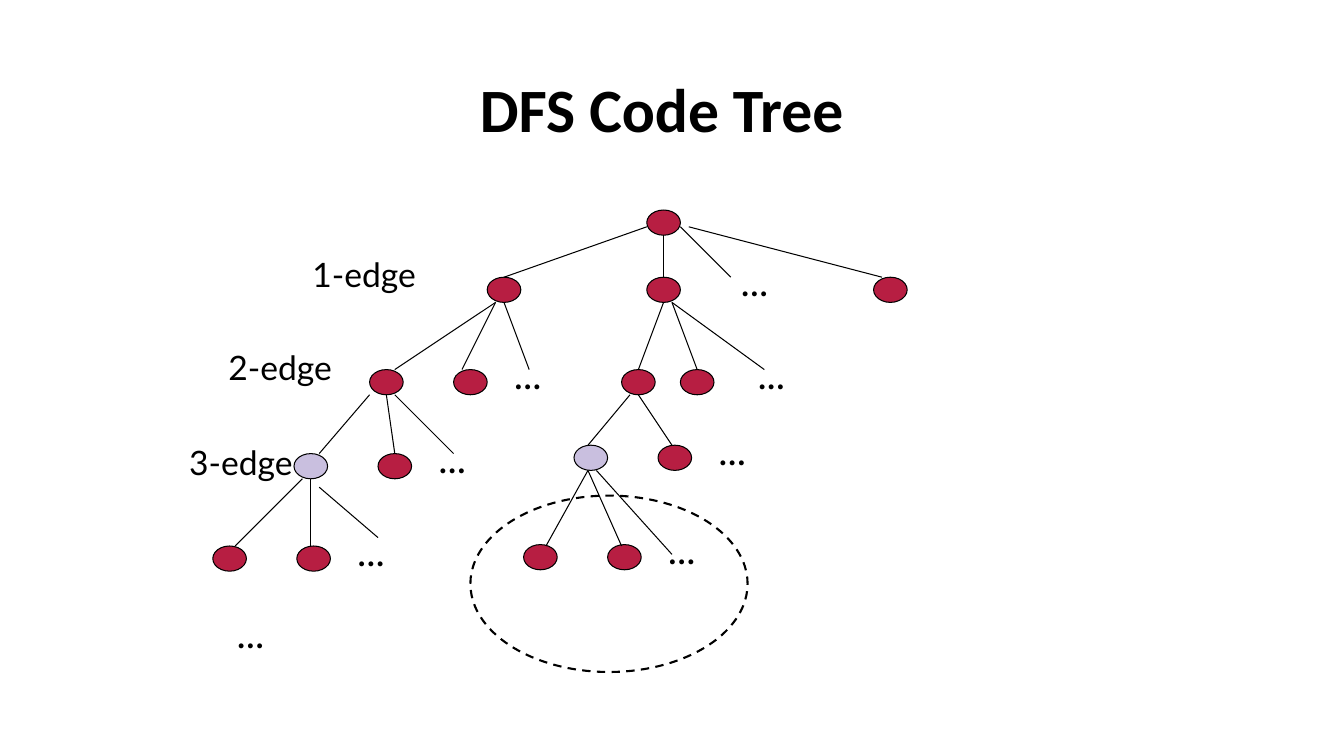
from dataclasses import dataclass

import lxml.etree
import pptx
import pptx.dml.color
import pptx.enum.dml
import pptx.enum.shapes
import pptx.enum.text
import pptx.oxml.ns
import pptx.util

Pt = pptx.util.Pt
HUES = {"ink": "000000", "red": "B71E42", "pale": "C9BFDF", "blue": "94B6D2"}
NODE_W, NODE_H = 24, 18


@dataclass
class Node:
    x: float
    y: float
    hue: str = "red"


@dataclass
class Label:
    x: float
    y: float
    text: str = "..."
    size: float = 28
    wide: float = 40
    high: float = 41


@dataclass
class Edge:
    x1: float
    y1: float
    x2: float
    y2: float


# Tree levels from the root down
NODES = [
    Node(462, 150),
    *(Node(x, 198) for x in (348, 462, 624)),
    *(Node(x, 264) for x in (264, 324, 444, 486)),
    Node(210, 324, "pale"), Node(270, 324),
    Node(410, 318, "pale"), Node(470, 318),
    *(Node(x, 390) for x in (152, 212)),
    *(Node(x, 389) for x in (374, 434)),
]

DOTS = [(522, 180), (360, 247), (534, 247), (306, 307), (506, 301),
        (248, 373), (162, 432), (470, 372)]
LEVELS = [(216, 178, "1-edge"), (156, 244, "2-edge"), (128, 312, "3-edge")]
LABELS = [Label(x, y) for x, y in DOTS]
LABELS += [Label(x, y, text, 24, 90, 36) for x, y, text in LEVELS]

EDGES = [
    Edge(462, 162, 360, 198), Edge(474, 168, 474, 198),
    Edge(486, 162, 522, 198), Edge(492, 162, 630, 198),
    Edge(354, 216, 282, 264), Edge(354, 216, 330, 264),
    Edge(360, 216, 378, 264), Edge(474, 216, 456, 264),
    Edge(480, 216, 498, 264), Edge(480, 216, 546, 264),
    Edge(264, 282, 228, 324), Edge(276, 282, 282, 324),
    Edge(282, 282, 324, 324), Edge(450, 282, 420, 318),
    Edge(456, 282, 480, 318), Edge(216, 342, 168, 390),
    Edge(222, 342, 222, 390), Edge(228, 348, 270, 384),
    Edge(420, 336, 390, 390), Edge(420, 336, 444, 390),
    Edge(426, 336, 480, 396),
]


def tint(name: str) -> pptx.dml.color.RGBColor:
    return pptx.dml.color.RGBColor.from_string(HUES[name])


def add_run(para, text: str, font: str, size: float, hue: str, bold: bool = False) -> None:
    run = para.add_run()
    run.text = text
    run.font.name = font
    run.font.size = Pt(size)
    run.font.bold = bold
    run.font.color.rgb = tint(hue)


def add_oval(slide, x: float, y: float, wide: float, high: float, line: float = 0.75):
    oval = slide.shapes.add_shape(pptx.enum.shapes.MSO_SHAPE.OVAL,
                                  Pt(x), Pt(y), Pt(wide), Pt(high))
    oval.shadow.inherit = False
    oval.line.color.rgb = tint("ink")
    oval.line.width = Pt(line)
    return oval


def add_node(slide, node: Node):
    oval = add_oval(slide, node.x, node.y, NODE_W, NODE_H)
    oval.fill.solid()
    oval.fill.fore_color.rgb = tint(node.hue)
    return oval


def add_edge(slide, edge: Edge, tops: dict) -> None:
    line = slide.shapes.add_connector(pptx.enum.shapes.MSO_CONNECTOR.STRAIGHT,
                                      Pt(edge.x1), Pt(edge.y1), Pt(edge.x2), Pt(edge.y2))
    line.line.color.rgb = tint("ink")
    line.line.width = Pt(0.75)
    props = line._element.spPr
    lxml.etree.SubElement(props, pptx.oxml.ns.qn("a:effectLst"))
    child = tops.get((edge.x2, edge.y2))
    if child is not None:
        line.end_connect(child, 0)


def add_label(slide, label: Label) -> None:
    box = slide.shapes.add_textbox(Pt(label.x), Pt(label.y), Pt(label.wide), Pt(label.high))
    frame = box.text_frame
    frame.word_wrap = False
    frame.auto_size = pptx.enum.text.MSO_AUTO_SIZE.SHAPE_TO_FIT_TEXT
    add_run(frame.paragraphs[0], label.text, "Lato", label.size, "ink")


def add_title(slide) -> None:
    title = slide.shapes.title
    title.left, title.top = Pt(209), Pt(55.3)
    title.width, title.height = Pt(517.7), Pt(50.4)
    frame = title.text_frame
    frame.word_wrap = True
    frame.auto_size = pptx.enum.text.MSO_AUTO_SIZE.NONE
    frame.vertical_anchor = pptx.enum.text.MSO_ANCHOR.MIDDLE
    para = frame.paragraphs[0]
    para.alignment = pptx.enum.text.PP_ALIGN.CENTER
    para.line_spacing = 0.9
    add_run(para, " ", "Calibri", 44, "blue", True)
    add_run(para, "DFS Code Tree", "Calibri", 44, "ink", True)


def main() -> None:
    deck = pptx.Presentation()
    deck.slide_width, deck.slide_height = Pt(960), Pt(540)
    slide = deck.slides.add_slide(deck.slide_layouts[5])
    add_title(slide)

    # Nodes, kept by the middle of their top side
    tops = {(node.x + NODE_W / 2, node.y): add_node(slide, node) for node in NODES}

    # Edges and labels
    for edge in EDGES:
        add_edge(slide, edge, tops)
    for label in LABELS:
        add_label(slide, label)

    # Dashed ring round the pruned branch
    ring = add_oval(slide, 336, 354, 198, 126, 1.5)
    ring.fill.background()
    ring.line.dash_style = pptx.enum.dml.MSO_LINE.DASH

    deck.save("out.pptx")


if __name__ == "__main__":
    main()
